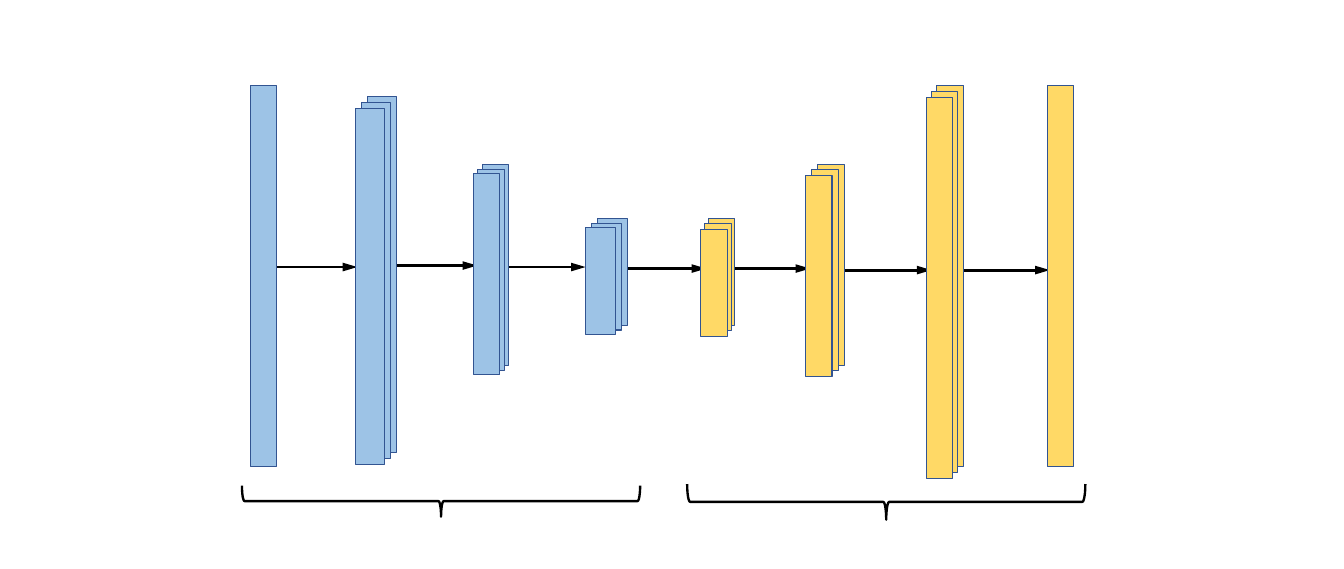
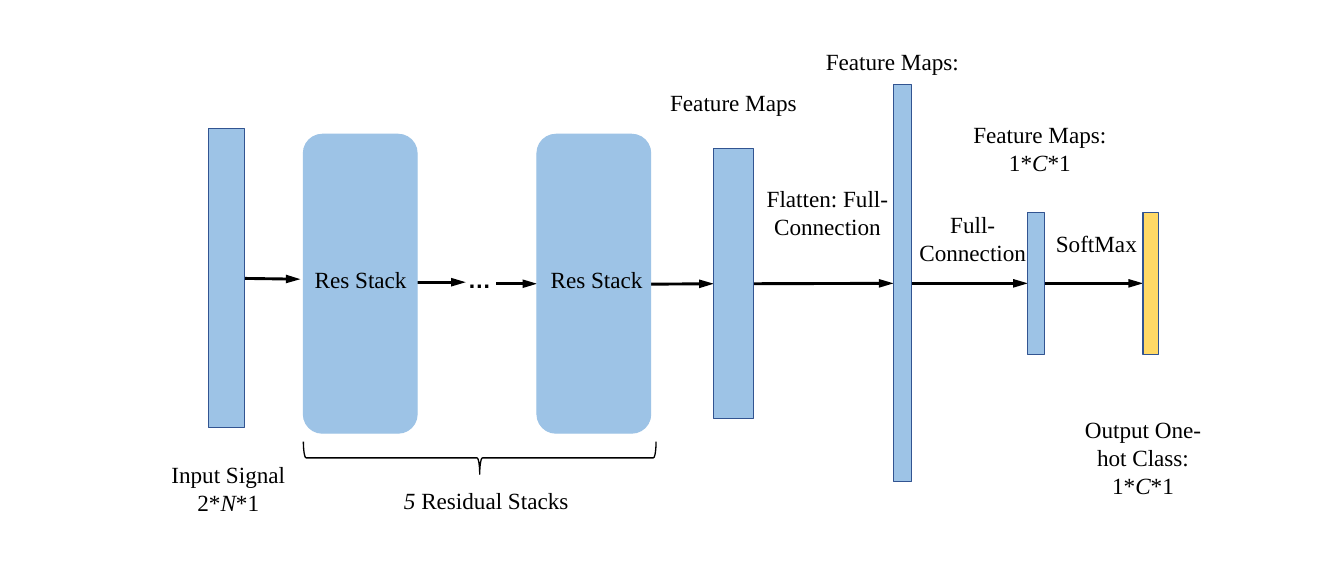
from dataclasses import dataclass

from lxml.etree import SubElement as Sub
from pptx import Presentation
from pptx.dml.color import RGBColor as RGB
from pptx.enum.shapes import MSO_CONNECTOR as Link, MSO_SHAPE as Kind
from pptx.enum.text import MSO_AUTO_SIZE as Fit, PP_ALIGN as Align
from pptx.oxml.ns import qn
from pptx.shapes.autoshape import Shape
from pptx.shapes.connector import Connector
from pptx.slide import Slide
from pptx.util import Inches, Pt

BLUE, GOLD, EDGE, INK = "9DC3E6", "FFD966", "325491", "000000"
SERIF, SANS = "Times New Roman", "Arial"
LEFT, RIGHT = 1, 3


@dataclass
class Box:
    x: float
    y: float
    w: float
    h: float
    fill: str = BLUE
    edge: str = EDGE
    kind: Kind = Kind.RECTANGLE


@dataclass
class Stack:
    box: Box
    dx: float = 0
    dy: float = 0
    count: int = 3


@dataclass
class Arrow:
    x1: float
    y1: float
    x2: float
    y2: float
    start: str = ""
    stop: str = ""


@dataclass
class Brace:
    x: float
    y: float
    span: float
    depth: float
    weight: float


@dataclass
class Run:
    text: str
    slant: bool = False
    bold: bool = False
    font: str = SERIF


@dataclass
class Note:
    x: float
    y: float
    w: float
    h: float
    lines: list[list[Run]]
    align: Align = Align.CENTER


def paint(code: str) -> RGB:
    return RGB.from_string(code)


def draw_box(slide: Slide, box: Box) -> Shape:
    shape = slide.shapes.add_shape(
        box.kind, Inches(box.x), Inches(box.y), Inches(box.w), Inches(box.h))
    shape.shadow.inherit = False
    shape.fill.solid()
    shape.fill.fore_color.rgb = paint(box.fill)
    shape.line.color.rgb = paint(box.edge)
    shape.line.width = Pt(1)
    return shape


def draw_stack(slide: Slide, stack: Stack) -> None:
    box = stack.box
    for i in range(stack.count):
        draw_box(slide, Box(box.x - i * stack.dx, box.y + i * stack.dy,
                            box.w, box.h, box.fill))


def draw_arrow(slide: Slide, arrow: Arrow) -> Connector:
    line = slide.shapes.add_connector(
        Link.STRAIGHT, Inches(arrow.x1), Inches(arrow.y1),
        Inches(arrow.x2), Inches(arrow.y2))
    line.line.color.rgb = paint(INK)
    line.line.width = Pt(2.75)
    props = line.element.spPr
    Sub(props.find(qn("a:ln")), qn("a:tailEnd"), type="triangle", w="med", len="lg")
    Sub(props, qn("a:effectLst"))
    return line


def draw_brace(slide: Slide, brace: Brace) -> None:
    shift = (brace.span - brace.depth) / 2
    shape = slide.shapes.add_shape(
        Kind.LEFT_BRACE, Inches(brace.x + shift), Inches(brace.y - shift),
        Inches(brace.depth), Inches(brace.span))
    shape.rotation = 270
    shape.shadow.inherit = False
    shape.fill.background()
    shape.line.color.rgb = paint(INK)
    shape.line.width = Pt(brace.weight)


def draw_note(slide: Slide, note: Note) -> None:
    frame = slide.shapes.add_textbox(
        Inches(note.x), Inches(note.y), Inches(note.w), Inches(note.h)).text_frame
    frame.word_wrap = True
    frame.auto_size = Fit.SHAPE_TO_FIT_TEXT
    for i, line in enumerate(note.lines):
        para = frame.add_paragraph() if i else frame.paragraphs[0]
        para.alignment = note.align
        for part in line:
            run = para.add_run()
            run.text = part.text
            font = run.font
            font.name, font.size = part.font, Pt(22)
            font.italic, font.bold = part.slant, part.bold
            font.color.rgb = paint(INK)


def shape_of(rows: str, letter: str) -> list[Run]:
    return [Run(f"{rows}*"), Run(letter, slant=True), Run("*1")]


def build_coder(slide: Slide) -> None:
    reach = 1.14
    for x, y in [(3.57, 3.52), (5.15, 3.5), (6.58, 3.52), (8.17, 3.54),
                 (9.54, 3.54), (11.14, 3.56), (12.7, 3.56)]:
        draw_arrow(slide, Arrow(x, y, x + reach, y))
    for stack in [
        Stack(Box(3.3, 1.13, 0.35, 5.02), count=1),
        Stack(Box(4.85, 1.27, 0.38, 4.69), 0.08, 0.08),
        Stack(Box(6.36, 2.17, 0.35, 2.65), 0.06, 0.06),
        Stack(Box(7.88, 2.88, 0.39, 1.41), 0.08, 0.06),
        Stack(Box(9.34, 2.88, 0.35, 1.41, GOLD), 0.05, 0.07),
        Stack(Box(10.78, 2.17, 0.35, 2.65, GOLD), 0.08, 0.07),
        Stack(Box(12.35, 1.13, 0.35, 5.02, GOLD), 0.07, 0.08),
        Stack(Box(13.81, 1.13, 0.35, 5.02, GOLD), count=1),
    ]:
        draw_stack(slide, stack)
    draw_brace(slide, Brace(3.19, 6.4, 5.25, 0.41, 2.25))
    draw_brace(slide, Brace(9.06, 6.38, 5.25, 0.47, 2.25))


def build_net(slide: Slide) -> None:
    arrows = [
        Arrow(3.22, 3.67, 3.96, 3.68, start="input"),
        Arrow(5.04, 3.72, 6.14, 3.72),
        Arrow(6.54, 3.74, 7.08, 3.74, stop="last"),
        Arrow(8.04, 3.75, 9.41, 3.74, stop="maps"),
        Arrow(9.93, 3.74, 11.78, 3.73, "maps", "flat"),
        Arrow(12.02, 3.73, 13.55, 3.73, "flat", "class"),
        Arrow(13.77, 3.73, 15.07, 3.73, "class", "output"),
    ]
    lines = [draw_arrow(slide, arrow) for arrow in arrows]
    boxes = {
        "input": Box(2.75, 1.7, 0.47, 3.94),
        "first": Box(4, 1.77, 1.5, 3.94, edge=BLUE, kind=Kind.ROUNDED_RECTANGLE),
        "last": Box(7.08, 1.77, 1.5, 3.94, edge=BLUE, kind=Kind.ROUNDED_RECTANGLE),
        "maps": Box(9.41, 1.96, 0.52, 3.56),
        "flat": Box(11.78, 1.12, 0.24, 5.23),
        "class": Box(13.55, 2.8, 0.22, 1.87),
        "output": Box(15.07, 2.8, 0.2, 1.87, GOLD),
    }
    shapes = {name: draw_box(slide, box) for name, box in boxes.items()}
    for arrow, line in zip(arrows, lines):
        if arrow.start:
            line.begin_connect(shapes[arrow.start], RIGHT)
        if arrow.stop:
            line.end_connect(shapes[arrow.stop], LEFT)
    draw_brace(slide, Brace(4, 5.82, 4.65, 0.43, 1.25))
    for note in [
        Note(2.06, 6.02, 1.9, 0.84, [[Run("Input Signal")], shape_of("2", "N")]),
        Note(3.96, 3.45, 1.59, 0.47, [[Run("Res Stack")]]),
        Note(6.07, 3.45, 0.55, 0.47, [[Run("…", bold=True, font=SANS)]], Align.LEFT),
        Note(7.02, 3.45, 1.69, 0.47, [[Run("Res Stack")]]),
        Note(4.8, 6.36, 3.22, 0.47, [[Run("5 ", slant=True), Run("Residual Stacks")]]),
        Note(8.72, 1.11, 1.9, 0.47, [[Run("Feature Maps")]]),
        Note(9.96, 2.38, 1.9, 0.84, [[Run("Flatten: Full- Connection")]]),
        Note(10.48, 0.58, 2.57, 0.47, [[Run("Feature Maps:")]]),
        Note(11.91, 2.72, 1.83, 0.84, [[Run("Full-Connection")]]),
        Note(12.72, 1.54, 1.98, 0.84, [[Run("Feature Maps:")], shape_of("1", "C")]),
        Note(13.66, 2.97, 1.59, 0.47, [[Run("SoftMax")]]),
        Note(14.15, 5.43, 1.84, 1.21,
             [[Run("Output One-hot Class:")], shape_of("1", "C")]),
    ]:
        draw_note(slide, note)


def main() -> None:
    deck = Presentation()
    deck.slide_width, deck.slide_height = Inches(17.72), Inches(7.5)
    for build in (build_coder, build_net):
        build(deck.slides.add_slide(deck.slide_layouts[6]))
    deck.save("out.pptx")


if __name__ == "__main__":
    main()
